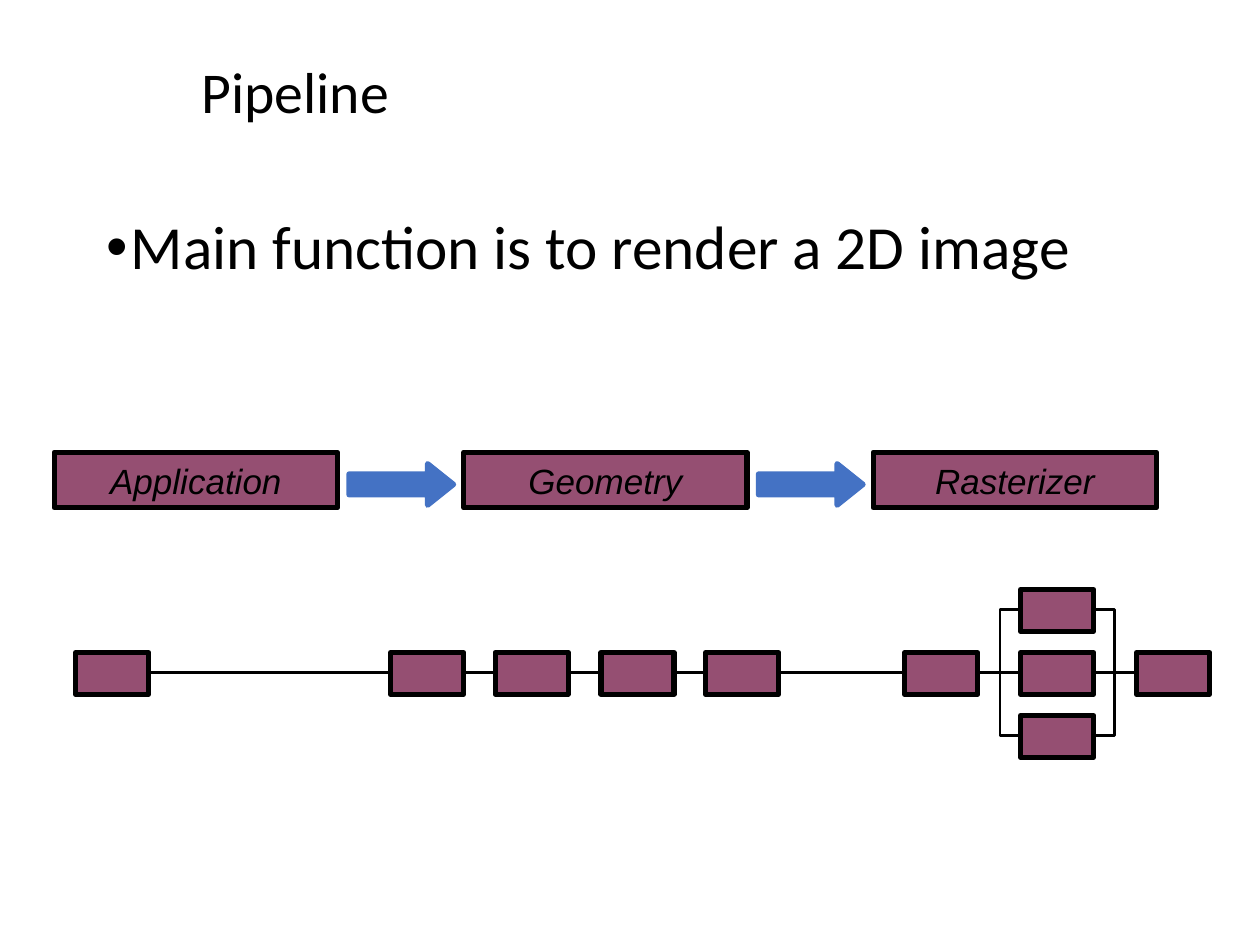
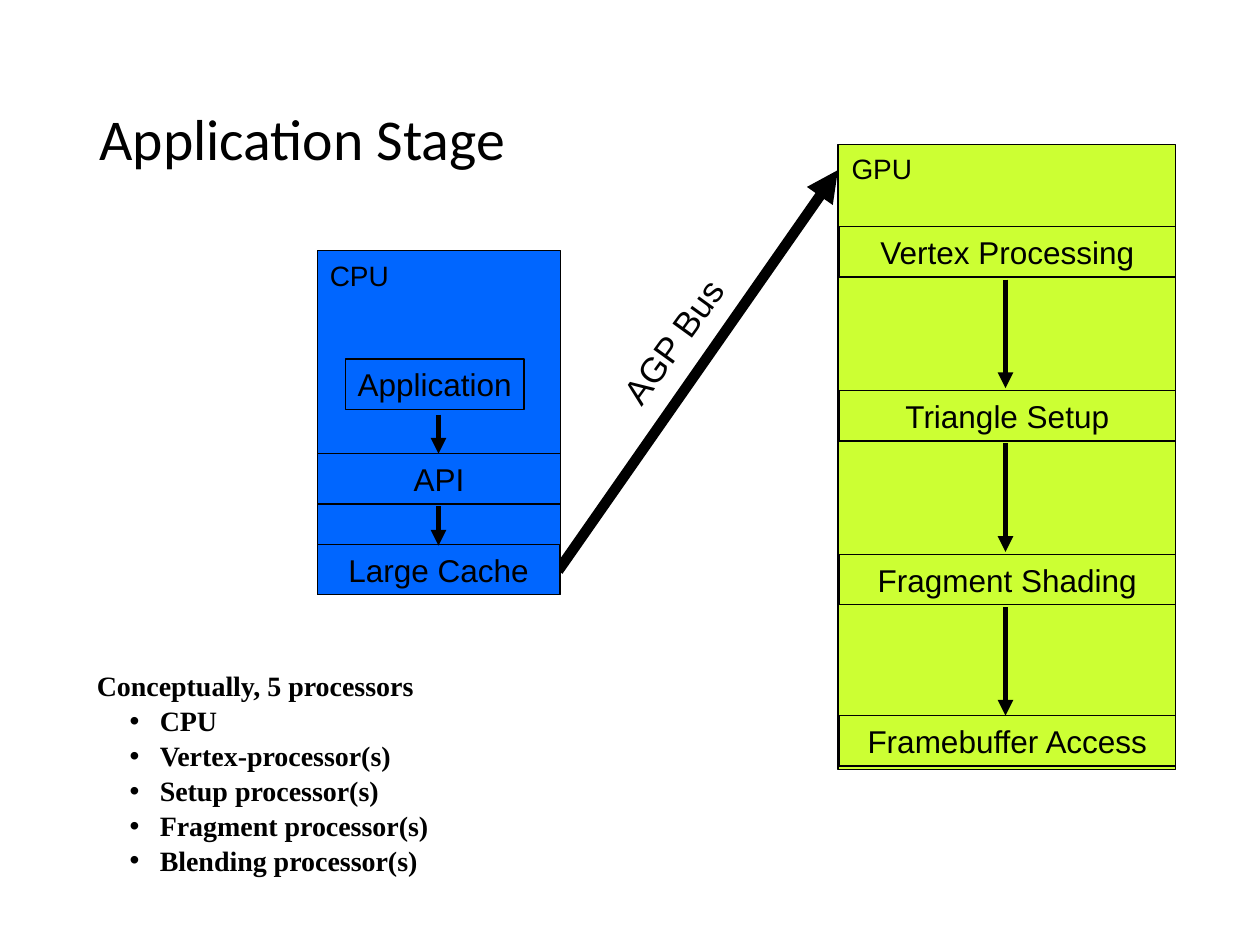
from lxml.etree import SubElement
from pptx import Presentation
from pptx.dml.color import RGBColor
from pptx.enum.shapes import MSO_CONNECTOR as Link, MSO_SHAPE as Preset
from pptx.enum.text import MSO_ANCHOR as Anchor, PP_ALIGN as Align
from pptx.oxml.ns import qn
from pptx.util import Pt

PX = 9144  # EMU per px, 100 px to the inch
BLACK = RGBColor(0x00, 0x00, 0x00)
PLUM = RGBColor(0x95, 0x4F, 0x72)
ARROW_BLUE = RGBColor(0x44, 0x72, 0xC4)
CPU_BLUE = RGBColor(0x00, 0x66, 0xFF)
GPU_LIME = RGBColor(0xCC, 0xFF, 0x33)


def add_box(page, bounds, *lines, preset=None, fill=None, outline=BLACK, weight=0.75,
            font="Arial", size=18, bold=False, italic=False, align=Align.LEFT,
            anchor=Anchor.TOP, wrap=True, spacing=None, first_bullet=None,
            margin=0, hang=0):
    """Add a preset shape, or a plain text box when no preset is given."""
    place = [value * PX for value in bounds]
    if preset is None:
        box = page.shapes.add_textbox(*place)
    else:
        box = page.shapes.add_shape(preset, *place)
        box.shadow.inherit = False
        if fill is None:
            box.fill.background()
        else:
            box.fill.solid()
            box.fill.fore_color.rgb = fill
        box.line.color.rgb = outline
        box.line.width = Pt(weight)
    frame = box.text_frame
    frame.word_wrap = wrap
    frame.vertical_anchor = anchor
    for index, text in enumerate(lines):
        para = frame.paragraphs[0] if index == 0 else frame.add_paragraph()
        if first_bullet is not None and index >= first_bullet:
            properties = para._p.get_or_add_pPr()
            properties.set("marL", str(margin * PX))
            properties.set("indent", str(-hang * PX))
            SubElement(properties, qn("a:buFont"), typeface="Arial")
            SubElement(properties, qn("a:buChar"), char="•")
        para.alignment = align
        if spacing:
            para.line_spacing = spacing
        span = para.add_run()
        span.text = text
        span.font.name = font
        span.font.size = Pt(size)
        span.font.bold = bold
        span.font.italic = italic
        span.font.color.rgb = BLACK
    return box


def add_line(page, begin, end, weight, kind=Link.STRAIGHT, arrow=False):
    ends = [value * PX for value in (*begin, *end)]
    line = page.shapes.add_connector(kind, *ends)
    line.line.color.rgb = BLACK
    line.line.width = Pt(weight)
    if arrow:
        SubElement(line.get_or_add_ln(), qn("a:tailEnd"), type="triangle")
    SubElement(line._element.spPr, qn("a:effectLst"))


title_style = dict(font="Calibri", size=33, anchor=Anchor.MIDDLE, spacing=0.9)
plum_style = dict(preset=Preset.RECTANGLE, fill=PLUM, weight=3, size=20, italic=True,
                  align=Align.CENTER, anchor=Anchor.MIDDLE)
stage_style = dict(preset=Preset.RECTANGLE, align=Align.CENTER, anchor=Anchor.MIDDLE)

deck = Presentation()
deck.slide_width = 1000 * PX
deck.slide_height = 750 * PX
blank = deck.slide_layouts[6]

# Slide 1: pipeline
page = deck.slides.add_slide(blank)
add_box(page, (150, 17, 683, 117), "Pipeline", **title_style)
add_box(page, (75, 167, 833, 517), "Main function is to render a 2D image",
        font="Calibri", size=35, spacing=0.9, first_bullet=0, margin=19, hang=19)
add_line(page, (118, 534), (902, 534), 1.5)

# Three stages with block arrows between them
for index, stage in enumerate(("Application", "Geometry", "Rasterizer")):
    left = 43 + 325 * index
    add_box(page, (left, 359, 225, 44), stage, **plum_style)
    if index < 2:
        block = add_box(page, (left + 234, 368, 83, 33), preset=Preset.RIGHT_ARROW,
                        fill=ARROW_BLUE, outline=ARROW_BLUE, weight=3)
        block.adjustments[0] = 0.5
        block.adjustments[1] = 0.625

# Units on the line, with two more in parallel above and below
units = [(left, 518) for left in (60, 310, 393, 477, 560, 718, 810, 902)]
for left, top in units + [(810, 468), (810, 568)]:
    add_box(page, (left, top, 58, 33), **plum_style)
for branch in (484, 584):
    add_line(page, (779, 534), (808, branch), 1.5, Link.ELBOW)
    add_line(page, (870, branch), (899, 534), 1.5, Link.ELBOW)

# Slide 2: application stage
page = deck.slides.add_slide(blank)
add_box(page, (69, 40, 863, 145), "Application Stage", **title_style)
add_line(page, (443, 453), (665, 135), 6, arrow=True)

# Processor panels with their names
for name, panel, label in (
        ("CPU", (252, 199, 193, 273), (252, 200, 67, 37)),
        ("GPU", (665, 115, 268, 496), (666, 115, 68, 37))):
    fill = CPU_BLUE if name == "CPU" else GPU_LIME
    add_box(page, panel, preset=Preset.RECTANGLE, fill=fill)
    add_box(page, label, name, size=16, wrap=False)

bus = add_box(page, (467, 249, 134, 44), "AGP Bus", size=20, wrap=False)
bus.rotation = 305.8

# CPU steps
add_box(page, (274, 285, 142, 40), "Application", wrap=False, **stage_style)
add_box(page, (252, 360, 193, 40), "API", **stage_style)
add_box(page, (252, 432, 192, 40), "Large Cache", **stage_style)
for top in (329, 402):
    add_line(page, (348, top), (348, top + 31), 3, arrow=True)

# GPU steps
gpu_steps = ("Vertex Processing", "Triangle Setup", "Fragment Shading", "Framebuffer Access")
for index, step in enumerate(gpu_steps):
    top = 180 + 130 * index - index // 3 * 2
    add_box(page, (666, top, 267, 40), step, **stage_style)
    if index < 3:
        add_line(page, (798, top + 42), (798, top + 128), 3, arrow=True)

# Processor list
add_box(page, (67, 525, 500, 170), "Conceptually, 5 processors", "CPU",
        "Vertex-processor(s)", "Setup processor(s)", "Fragment processor(s)",
        "Blending processor(s)", font="Times New Roman", size=16, bold=True,
        spacing=1.04, first_bullet=1, margin=50, hang=24)

deck.save("out.pptx")
